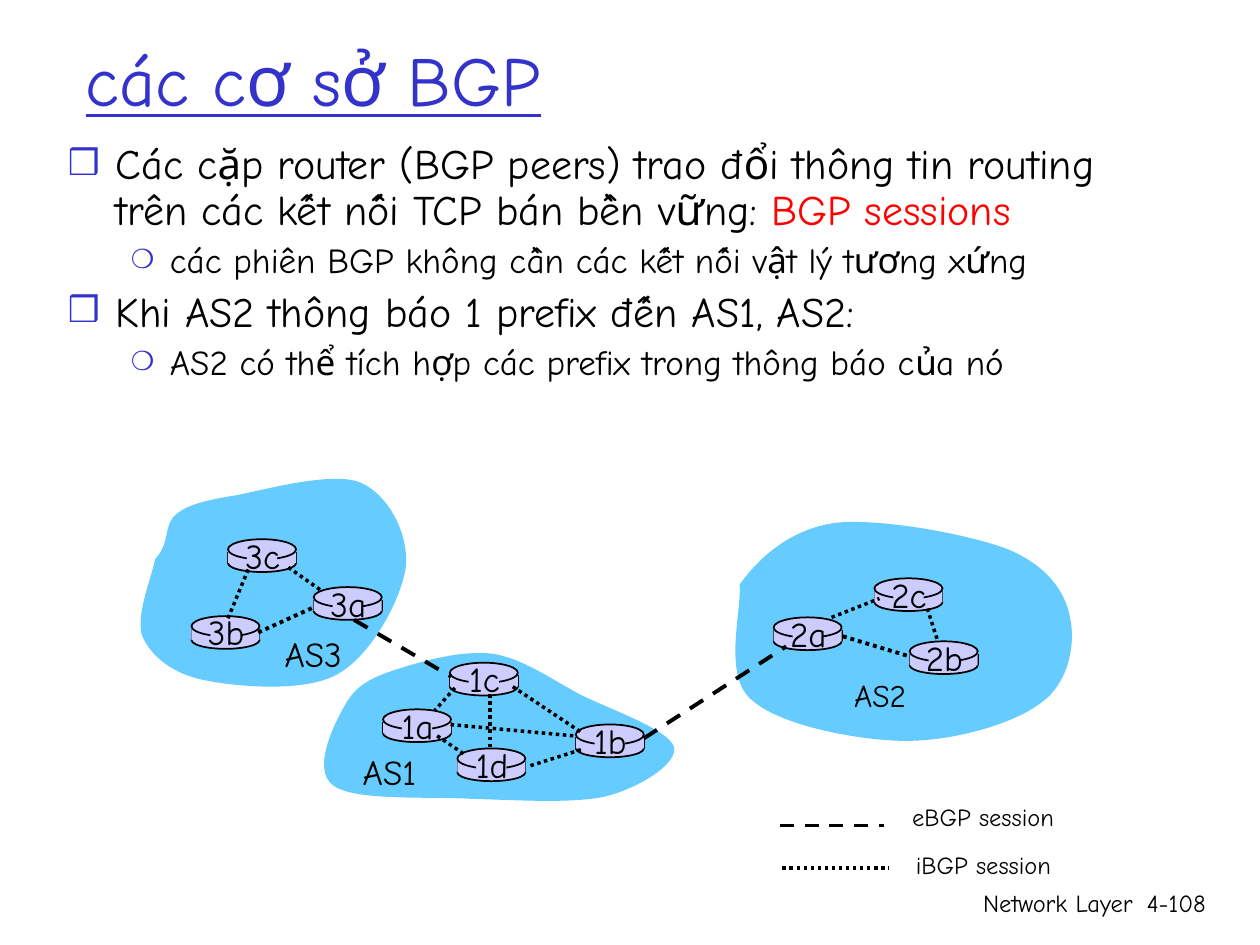
"""Build the BGP basics slide with its network of three systems."""
from typing import Any, NamedTuple

from lxml.etree import SubElement
from pptx import Presentation
from pptx.dml.color import RGBColor
from pptx.enum.dml import MSO_LINE as Dash
from pptx.enum.shapes import MSO_CONNECTOR as Conn, MSO_SHAPE as Shape
from pptx.enum.text import MSO_ANCHOR as Anchor, MSO_AUTO_SIZE as Auto, PP_ALIGN as Align
from pptx.oxml.ns import qn
from pptx.util import Inches, Pt

BLACK = RGBColor(0x00, 0x00, 0x00)
BLUE = RGBColor(0x33, 0x33, 0xCC)
RED = RGBColor(0xFF, 0x00, 0x00)
SKY = RGBColor(0x66, 0xCC, 0xFF)
LILAC = RGBColor(0xCC, 0xCC, 0xFF)
FONT = "Comic Neue"
DOT, DASH = Dash.ROUND_DOT, Dash.DASH
WIDE = 0.54

Point = tuple[float, float]


class Router(NamedTuple):
    name: str
    x: float
    y: float


class Link(NamedTuple):
    start: Point
    end: Point
    dash: Any = DOT
    width: float = 2


class Label(NamedTuple):
    text: str
    x: float
    y: float
    w: float
    h: float
    size: float


class Bullet(NamedTuple):
    mark: str
    left: float
    hang: float
    scale: int
    size: float
    space: float


TOP = Bullet("❒", 0.38, 0.38, 85, 24, 6)
SUB = Bullet("❍", 0.81, 0.31, 75, 20, 5)

BODY = [
    (TOP, "Các cặp router (BGP peers) trao đổi thông tin routing "
          "trên các kết nối TCP bán bền vững: ", "BGP sessions"),
    (SUB, "các phiên BGP không cần các kết nối vật lý tương xứng", ""),
    (TOP, "Khi AS2 thông báo 1 prefix đến AS1, AS2:", ""),
    (SUB, "AS2 có thể tích hợp các prefix trong thông báo của nó", ""),
]

CLOUDS: list[list[Point]] = [
    [(5.87, 4.64), (6.02, 4.43), (6.27, 4.2), (6.63, 4.15), (6.98, 4.11),
     (7.69, 4.24), (8, 4.36), (8.31, 4.49), (8.45, 4.69), (8.49, 4.89),
     (8.54, 5.09), (8.49, 5.42), (8.26, 5.58), (8.04, 5.75), (7.54, 5.89),
     (7.15, 5.88), (6.77, 5.87), (6.16, 5.75), (5.95, 5.54), (5.74, 5.34),
     (5.89, 4.83), (5.87, 4.64)],
    [(1.23, 4.44), (1.36, 4.3), (1.29, 4.17), (1.4, 4.08), (1.5, 4),
     (1.64, 3.97), (1.88, 3.93), (2.13, 3.88), (2.64, 3.74), (2.86, 3.83),
     (3.09, 3.93), (3.25, 4.25), (3.22, 4.51), (3.18, 4.76), (2.95, 5.2),
     (2.68, 5.35), (2.42, 5.5), (1.88, 5.45), (1.63, 5.4), (1.37, 5.35),
     (1.2, 5.21), (1.13, 5.05), (1.07, 4.89), (1.21, 4.57), (1.23, 4.44)],
    [(2.76, 5.56), (2.86, 5.4), (3.03, 5.35), (3.22, 5.29), (3.42, 5.23),
     (3.69, 5.16), (3.92, 5.19), (4.15, 5.23), (4.36, 5.38), (4.6, 5.51),
     (4.84, 5.63), (5.31, 5.79), (5.35, 5.93), (5.38, 6.06), (5.08, 6.25),
     (4.81, 6.32), (4.55, 6.38), (4.1, 6.35), (3.74, 6.34), (3.38, 6.32),
     (2.8, 6.36), (2.64, 6.23), (2.47, 6.1), (2.66, 5.72), (2.76, 5.56)],
]

ROUTERS = [
    Router("3b", 1.52, 4.89), Router("1d", 3.63, 5.94), Router("3a", 2.49, 4.66),
    Router("1c", 3.57, 5.26), Router("2a", 6.14, 4.9), Router("1a", 3.04, 5.63),
    Router("2c", 6.94, 4.59), Router("2b", 7.22, 5.09), Router("1b", 4.57, 5.75),
    Router("3c", 1.81, 4.28),
]

LINKS = [
    Link((6.69, 5.05), (7.22, 5.21), width=2.25),
    Link((2.05, 5.02), (2.49, 4.82), width=2.25),
    Link((2.81, 4.92), (3.58, 5.37), DASH, 2.25),
    Link((5.11, 5.86), (6.24, 5.13), DASH, 2.25),
    Link((3.61, 5.46), (3.45, 5.64)),
    Link((3.89, 5.51), (3.89, 5.93)),
    Link((4.07, 5.45), (4.61, 5.81)),
    Link((4.61, 5.95), (4.2, 6.08)),
    Link((4.55, 5.84), (3.57, 5.75)),
    Link((6.6, 4.9), (6.98, 4.75)),
    Link((6.19, 6.55), (7.02, 6.55), DASH),
    Link((6.21, 6.89), (7.05, 6.89)),
    Link((2.54, 4.68), (2.27, 4.49)),
    Link((1.97, 4.52), (1.8, 4.93)),
    Link((7.36, 4.83), (7.44, 5.08)),
    Link((3.47, 5.84), (3.69, 5.99)),
]

LABELS = [
    Label("AS3", 2.16, 4.97, 0.65, 0.44, 20),
    Label("AS1", 2.78, 5.91, 0.62, 0.44, 20),
    Label("AS2", 6.68, 5.32, 0.61, 0.4, 18),
    Label("eBGP session", 7.14, 6.32, 1.33, 0.34, 14),
    Label("iBGP session", 7.17, 6.7, 1.27, 0.34, 14),
]

FOOT = [
    Label("Network Layer", 5.92, 7, 3.17, 0.5, 14),
    Label("4-108", 8.93, 7, 0.74, 0.5, 14),
]


def write(para: Any, text: str, *, size: float = 20, color: RGBColor = BLACK,
          under: bool = False, align: Any = Align.LEFT) -> None:
    para.alignment = align
    run = para.add_run()
    run.text = text
    font = run.font
    font.name, font.size, font.underline = FONT, Pt(size), under
    font.color.rgb = color


def add_label(shapes: Any, item: Label, align: Any = Align.LEFT) -> None:
    frame = shapes.add_textbox(*map(Inches, item[1:5])).text_frame
    frame.word_wrap = False
    frame.auto_size = Auto.NONE
    if align != Align.RIGHT:
        frame.margin_right = 0
    if align == Align.CENTER:
        frame.margin_left = 0
    write(frame.paragraphs[0], item.text, size=item.size, align=align)


def add_bullet(para: Any, kind: Bullet) -> None:
    props = para._p.get_or_add_pPr()
    props.set("marL", str(Inches(kind.left)))
    props.set("indent", str(-Inches(kind.hang)))
    tint = SubElement(props, qn("a:buClr"))
    SubElement(tint, qn("a:srgbClr")).set("val", str(BLUE))
    SubElement(props, qn("a:buSzPct")).set("val", str(kind.scale * 1000))
    SubElement(props, qn("a:buFont")).set("typeface", FONT)
    SubElement(props, qn("a:buChar")).set("char", kind.mark)
    para.line_spacing = 0.9


def add_body(shapes: Any) -> None:
    frame = shapes.add_textbox(*map(Inches, (0.44, 1.09, 8.64, 2.53))).text_frame
    frame.word_wrap = True
    for num, (kind, text, key) in enumerate(BODY):
        para = frame.add_paragraph() if num else frame.paragraphs[0]
        add_bullet(para, kind)
        if num:
            para.space_before = Pt(kind.space)
        para.level = int(kind is SUB)
        write(para, text, size=kind.size)
        if key:
            write(para, key, size=kind.size, color=RED)


def paint(shape: Any, fill: RGBColor, edge: bool = False) -> None:
    shape.shadow.inherit = False
    shape.fill.solid()
    shape.fill.fore_color.rgb = fill
    if edge:
        shape.line.color.rgb = BLACK
        shape.line.width = Pt(1)
    else:
        shape.line.fill.background()


def add_cloud(shapes: Any, nodes: list[Point]) -> None:
    first, *rest = [(Inches(x), Inches(y)) for x, y in nodes]
    pen = shapes.build_freeform(*first)
    pen.add_line_segments(rest, close=True)
    cloud = pen.convert_to_shape()
    lines = list(cloud._element.iter(qn("a:lnTo")))
    for i in range(0, len(lines), 3):
        curve = lines[i].makeelement(qn("a:cubicBezTo"))
        lines[i].addprevious(curve)
        for line in lines[i:i + 3]:
            curve.append(line[0])
            line.getparent().remove(line)
    paint(cloud, SKY)


def add_link(shapes: Any, link: Link) -> None:
    line = shapes.add_connector(Conn.STRAIGHT, *map(Inches, link.start + link.end))
    line.line.color.rgb = BLACK
    line.line.width = Pt(link.width)
    line.line.dash_style = link.dash
    SubElement(line._element.spPr, qn("a:effectLst"))


def add_router(shapes: Any, item: Router) -> None:
    name, x, y = item

    def part(kind: Any, dx: float, dy: float, w: float, h: float, edge: bool = False) -> None:
        paint(shapes.add_shape(kind, *map(Inches, (x + dx, y + dy, w, h))), LILAC, edge)

    part(Shape.OVAL, 0, 0.12, WIDE, 0.14, True)
    for side in (x, x + WIDE):
        add_link(shapes, Link((side, y + 0.1), (side, y + 0.19), Dash.SOLID, 1))
    part(Shape.RECTANGLE, 0, 0.1, WIDE, 0.09)
    part(Shape.OVAL, 0, 0, WIDE, 0.16, True)
    part(Shape.RECTANGLE, 0.15, 0.02, 0.24, 0.21)
    add_label(shapes, Label(name, x + 0.04, y - 0.09, 0.47, 0.44, 20), Align.CENTER)


def main() -> None:
    deck = Presentation()
    deck.slide_width, deck.slide_height = Inches(10), Inches(7.5)
    shapes = deck.slides.add_slide(deck.slide_layouts[5]).shapes
    title = shapes.title
    title.left, title.top, title.width, title.height = map(Inches, (0.58, 0, 8.5, 1.25))
    title.text_frame.vertical_anchor = Anchor.MIDDLE
    write(title.text_frame.paragraphs[0], "các cơ sở BGP", size=40, color=BLUE, under=True)
    add_body(shapes)
    for item in FOOT:
        add_label(shapes, item, Align.RIGHT)
    for draw, items in ((add_cloud, CLOUDS), (add_router, ROUTERS),
                        (add_link, LINKS), (add_label, LABELS)):
        for item in items:
            draw(shapes, item)
    deck.save("out.pptx")


if __name__ == "__main__":
    main()
